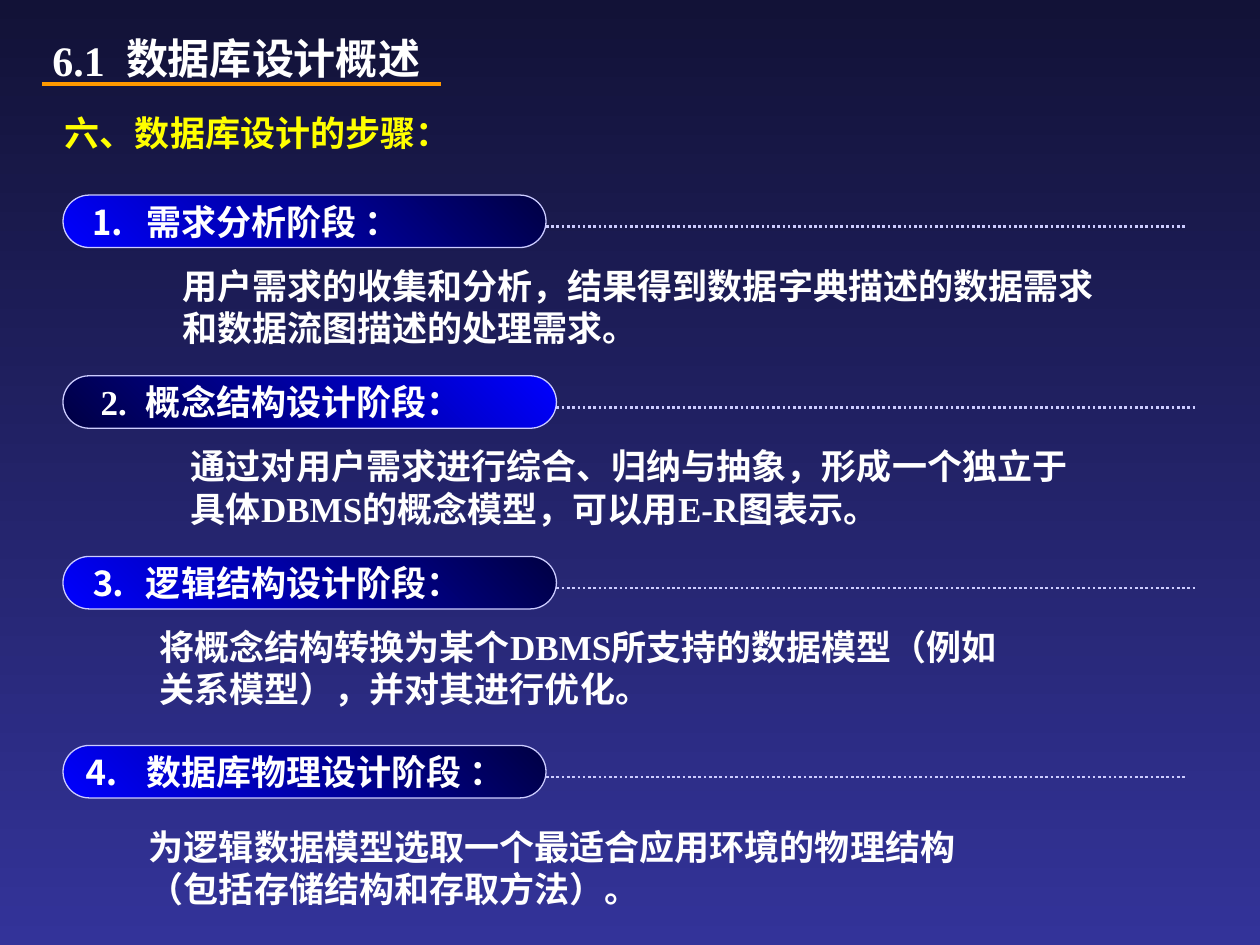
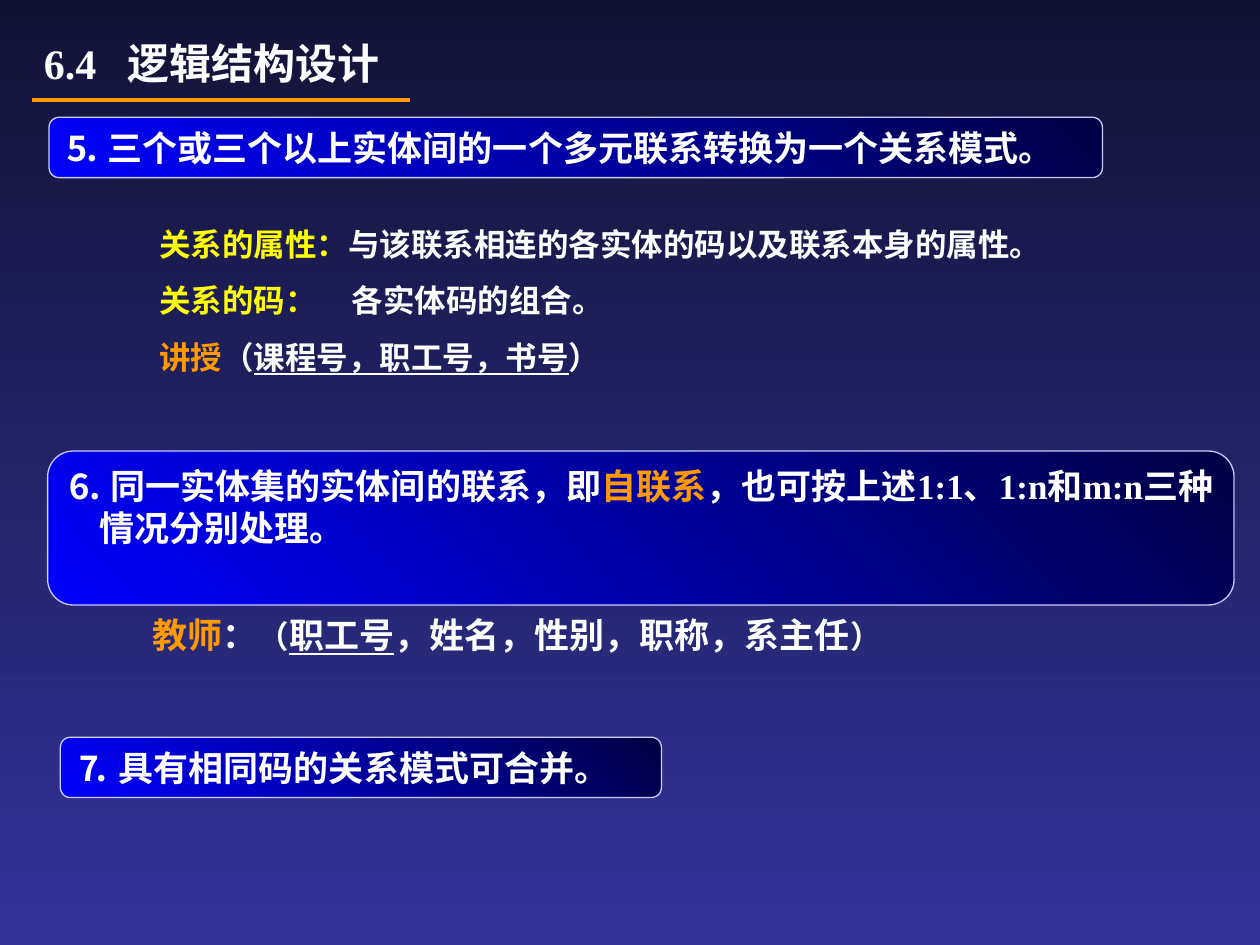
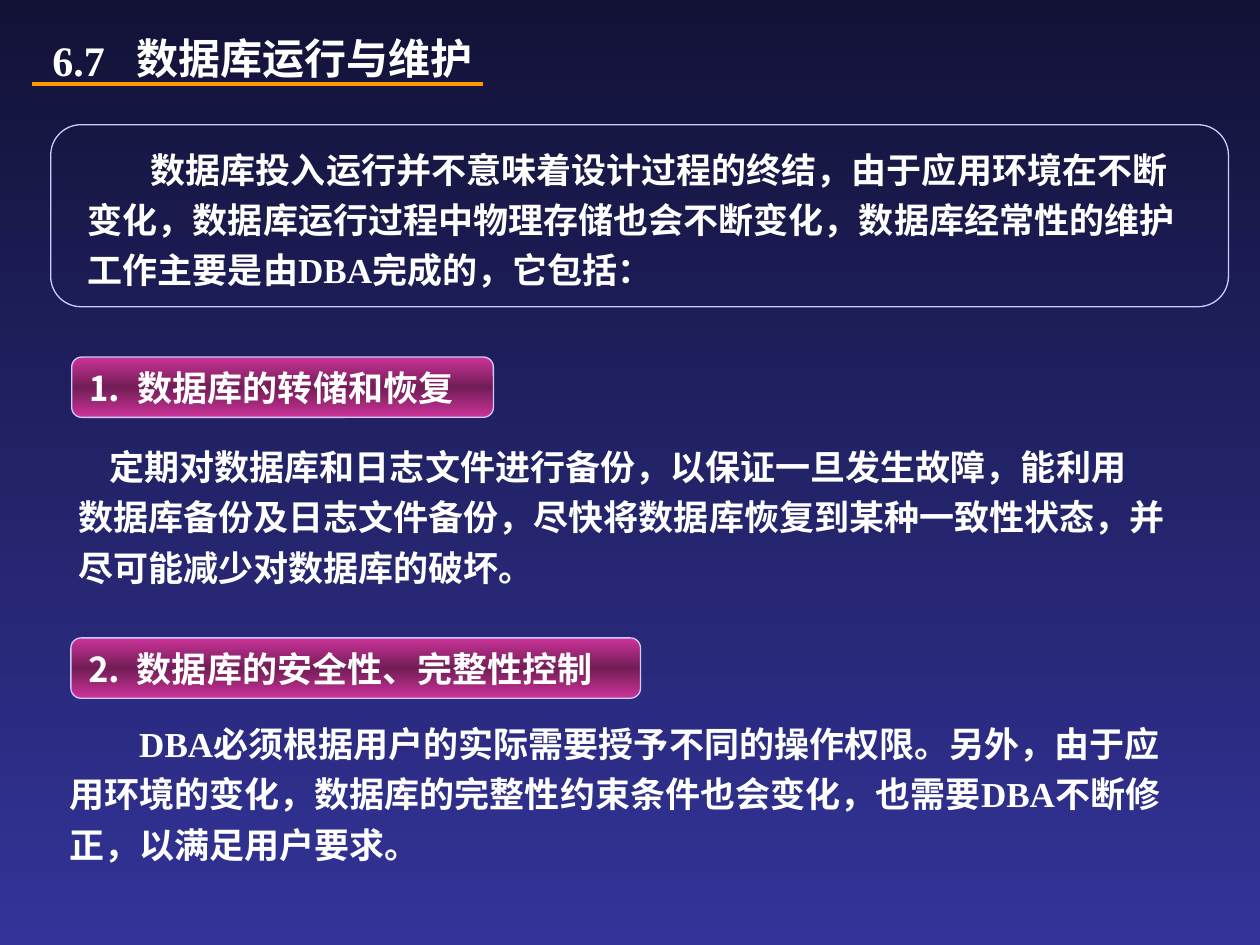
from lxml.etree import SubElement
from copy import deepcopy
from pptx import Presentation
from pptx.dml.color import RGBColor
from pptx.enum.dml import MSO_LINE
from pptx.enum.shapes import MSO_CONNECTOR, MSO_SHAPE
from pptx.enum.text import MSO_ANCHOR, PP_ALIGN
from pptx.oxml.ns import qn
from pptx.util import Pt

COLORS = {
    "night": "121237",
    "indigo": "333399",
    "white": "FFFFFF",
    "yellow": "FFFF00",
    "orange": "FF9900",
    "lavender": "CCCCFF",
    "blue": "0000FF",
    "navy": "000043",
    "magenta": "CC3399",
    "plum": "721D56",
}
LATIN_FONT = "Times New Roman"
CHINESE_FONT = "Noto Sans CJK SC"
BLUE_FADE = ("blue", "navy")
NAVY_FADE = ("navy", "blue")
MAGENTA_BAND = ("magenta", "plum", "magenta")


def rgb(name):
    return RGBColor.from_string(COLORS[name])


def add_text(paragraph, text, size=20, color="white", font=LATIN_FONT, underline=False):
    run = paragraph.add_run()
    run.text = text
    run.font.size = Pt(size)
    run.font.bold = True
    run.font.name = font
    run.font.color.rgb = rgb(color)
    if underline:
        run.font.underline = True
    SubElement(run.font._element, qn("a:ea"), typeface=CHINESE_FONT)


def fill_gradient(fill, names, angle):
    fill.gradient()
    fill.gradient_angle = angle
    stop_list = fill.gradient_stops[0]._gs.getparent()
    while len(stop_list) < len(names):
        stop_list.append(deepcopy(stop_list[-1]))
    for index, (stop, name) in enumerate(zip(fill.gradient_stops, names)):
        stop.color.rgb = rgb(name)
        stop.position = index / (len(names) - 1)


class Deck:
    def __init__(self):
        self.presentation = Presentation()
        self.presentation.slide_width = Pt(720)
        self.presentation.slide_height = Pt(540)
        self.slide = None

    def new_slide(self):
        self.slide = self.presentation.slides.add_slide(self.presentation.slide_layouts[6])
        fill_gradient(self.slide.background.fill, ("night", "indigo"), 270)

    def set_lines(self, shape, lines, indents=(), tab=None, spacing=None, wrap=True,
                  align=PP_ALIGN.LEFT, anchor=MSO_ANCHOR.TOP, **style):
        frame = shape.text_frame
        frame.word_wrap = wrap
        frame.vertical_anchor = anchor
        for index, line in enumerate(lines):
            paragraph = frame.add_paragraph() if index else frame.paragraphs[0]
            paragraph.alignment = align
            if spacing:
                paragraph.line_spacing = spacing
            properties = paragraph._p.get_or_add_pPr()
            if index < len(indents):
                properties.set("marL", "0")
                properties.set("indent", str(Pt(indents[index])))
            if tab:
                tabs = SubElement(properties, qn("a:tabLst"))
                SubElement(tabs, qn("a:tab"), pos=str(Pt(tab)), algn="l")
            parts = [(line, {})] if isinstance(line, str) else line
            for text, changes in parts:
                add_text(paragraph, text, **{**style, **changes})

    def text(self, left, top, width, height, lines, **options):
        box = self.slide.shapes.add_textbox(Pt(left), Pt(top), Pt(width), Pt(height))
        self.set_lines(box, lines, **options)

    def panel(self, left, top, width, height, lines, fade=None, angle=45, corner=0.167, **options):
        shape = self.slide.shapes.add_shape(
            MSO_SHAPE.ROUNDED_RECTANGLE, Pt(left), Pt(top), Pt(width), Pt(height))
        shape.adjustments[0] = corner
        shape.shadow.inherit = False
        if fade:
            fill_gradient(shape.fill, fade, angle)
        else:
            shape.fill.background()
        shape.line.color.rgb = rgb("lavender")
        shape.line.width = Pt(0.75)
        self.set_lines(shape, lines, **options)

    def rule(self, left, right, top, color="orange", width=2.25, dash=None):
        connector = self.slide.shapes.add_connector(
            MSO_CONNECTOR.STRAIGHT, Pt(left), Pt(top), Pt(right), Pt(top))
        connector.line.color.rgb = rgb(color)
        connector.line.width = Pt(width)
        if dash:
            connector.line.dash_style = dash
        SubElement(connector._element.spPr, qn("a:effectLst"))

    def section_title(self, number, name, width, rule_left, rule_right):
        centered = {"size": 24, "align": PP_ALIGN.CENTER, "anchor": MSO_ANCHOR.MIDDLE}
        self.text(42, 12, width, 42, [name], **centered)
        self.text(12, 22.3, 66, 24, [number], **centered)
        self.rule(rule_left, rule_right, 48)

    def stage(self, top, width, title, indent, tab, fade=BLUE_FADE):
        self.panel(36, top, width, 30, [title], fade=fade, corner=0.5,
                   indents=[indent], tab=tab, anchor=MSO_ANCHOR.MIDDLE)
        self.rule(36 + width, 402 + width, top + 18, "lavender", 1.5, MSO_LINE.ROUND_DOT)


def build_design_steps(deck):
    deck.new_slide()
    deck.section_title("6.1", "数据库设计概述", 228, 24, 252)
    deck.text(30, 60, 552, 32, ["六、数据库设计的步骤："], color="yellow")

    deck.stage(111.5, 276, "⒈\t需求分析阶段 ：", 4.5, 33.5)
    deck.stage(214.75, 282, "2.\t概念结构设计阶段：", 10, 39, NAVY_FADE)
    deck.stage(318, 282, "⒊\t逻辑结构设计阶段：", 4.5, 33.5)
    deck.stage(426, 276, "⒋\t数据库物理设计阶段 ：", 0, 29)

    descriptions = [
        (66, 147.5, 606, ["用户需求的收集和分析，结果得到数据字典描述的数据需求",
                          "和数据流图描述的处理需求。"], [31, 31]),
        (102, 250.75, 564, ["通过对用户需求进行综合、归纳与抽象，形成一个独立于",
                            "具体DBMS的概念模型，可以用E-R图表示。"], []),
        (84, 354, 528, ["将概念结构转换为某个DBMS所支持的数据模型（例如",
                        "关系模型），并对其进行优化。"], []),
        (78, 468, 564, ["为逻辑数据模型选取一个最适合应用环境的物理结构",
                        "（包括存储结构和存取方法）。"], []),
    ]
    for left, top, width, lines, indents in descriptions:
        deck.text(left, top, width, 55.5, lines, indents=indents)


def build_logical_design(deck):
    yellow, orange = {"color": "yellow"}, {"color": "orange"}
    underlined = {"underline": True}
    bracket = {"size": 18, "font": LATIN_FONT}

    deck.new_slide()
    deck.text(18, 18, 336, 36, ["6.4\t逻辑结构设计"], size=24, tab=47.5, anchor=MSO_ANCHOR.MIDDLE)
    deck.rule(18, 234, 57)
    deck.panel(28, 67, 602, 34.5, ["⒌ 三个或三个以上实体间的一个多元联系转换为一个关系模式。"],
               fade=BLUE_FADE)
    deck.panel(27.25, 257.75, 678, 88, [
        [("⒍ 同一实体集的实体间的联系，即", {}), ("自联系", orange),
         ("，也可按上述1:1、1:n和m:n三种", {})],
        "情况分别处理。",
    ], fade=BLUE_FADE, indents=[0, 18])
    deck.panel(34.5, 421.25, 343.5, 34.5, ["⒎ 具有相同码的关系模式可合并。"], fade=BLUE_FADE)
    deck.text(84, 114, 558, 104.5, [
        [("关系的属性：", yellow), ("与该联系相连的各实体的码以及联系本身的属性。", {})],
        [("关系的码：", yellow), ("\t各实体码的组合。", {})],
        [("讲授", orange), ("（", {}), ("课程号，职工号，书号", underlined), ("）", {})],
    ], size=18, spacing=1.5, tab=110)
    deck.text(80, 347, 431, 32, [
        [("教师", orange), ("：", {}), ("（", bracket), ("职工号", underlined),
         ("，姓名，性别，职称，系主任", {}), ("）", bracket)],
    ], font="Cabin", wrap=False)


def build_maintenance(deck):
    deck.new_slide()
    deck.section_title("6.7", "数据库运行与维护", 264, 18, 276)
    deck.panel(29, 71.25, 673, 104, [
        "数据库投入运行并不意味着设计过程的终结，由于应用环境在不断",
        "变化，数据库运行过程中物理存储也会不断变化，数据库经常性的维护",
        "工作主要是由DBA完成的，它包括：",
    ], spacing=1.2, indents=[45, 9, 9])
    deck.panel(41, 204, 241, 34.5, ["⒈\t数据库的转储和恢复"],
               fade=MAGENTA_BAND, angle=270, tab=29)
    deck.panel(40.5, 364.5, 325.5, 34.5, ["⒉\t数据库的安全性、完整性控制"],
               fade=MAGENTA_BAND, angle=270, tab=29)
    deck.text(37.5, 246.25, 636, 93.5, [
        "定期对数据库和日志文件进行备份，以保证一旦发生故障，能利用",
        "数据库备份及日志文件备份，尽快将数据库恢复到某种一致性状态，并",
        "尽可能减少对数据库的破坏。",
    ], font=CHINESE_FONT, spacing=1.2, indents=[18], wrap=False)
    deck.text(32.5, 404.5, 647.5, 93.5, [
        "DBA必须根据用户的实际需要授予不同的操作权限。另外，由于应",
        "用环境的变化，数据库的完整性约束条件也会变化，也需要DBA不断修",
        "正，以满足用户要求。",
    ], spacing=1.2, indents=[40], wrap=False)


def main():
    deck = Deck()
    build_design_steps(deck)
    build_logical_design(deck)
    build_maintenance(deck)
    deck.presentation.save("out.pptx")


if __name__ == "__main__":
    main()
